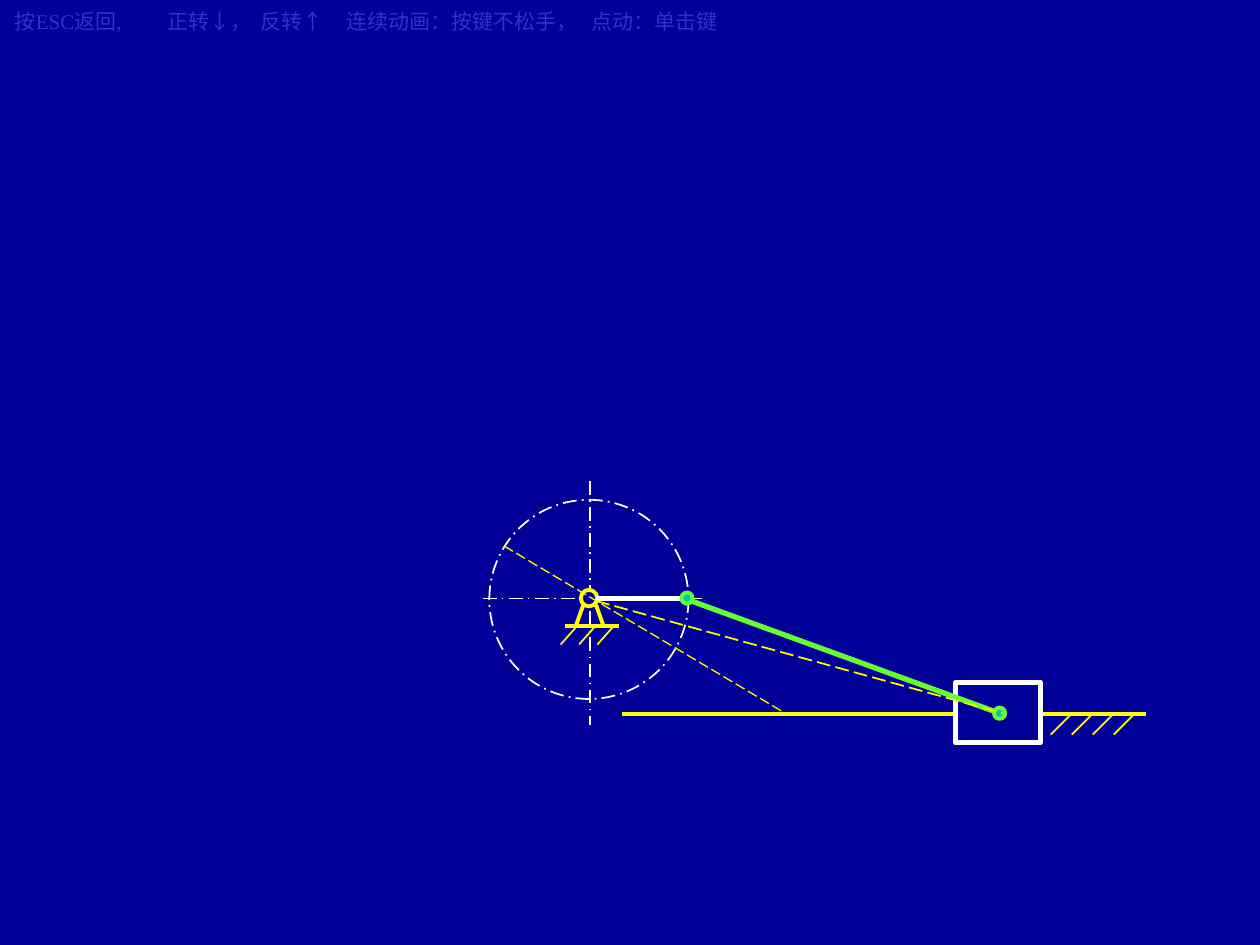
from lxml.etree import SubElement
from pptx import Presentation
from pptx.dml.color import RGBColor
from pptx.enum.dml import MSO_LINE
from pptx.enum.shapes import MSO_CONNECTOR, MSO_SHAPE
from pptx.oxml.ns import qn
from pptx.util import Pt

NAVY = RGBColor(0x00, 0x00, 0x99)
BLUE = RGBColor(0x33, 0x33, 0xCC)
WHITE = RGBColor(0xFF, 0xFF, 0xFF)
YELLOW = RGBColor(0xFF, 0xFF, 0x00)
GREEN = RGBColor(0x66, 0xFF, 0x33)
TEAL = RGBColor(0x00, 0xCC, 0x99)

# Content: key hints and the tab stops between them
HINTS = ["按ESC返回,", "正转↓，", "反转↑", "连续动画：按键不松手，", "点动：单击键"]
HINT_TABS = [87.4, 140.5, 189.7, 329.7]
HINT_FONT = {"name": "Times New Roman", "size": Pt(12)}

# Mechanism points, in points on the slide
PIVOT = (336.6, 341.8)
CRANK_PIN = (392.6, 341.8)
SLIDER_PIN = (571.2, 407.6)
GROUND_Y = 408.2
FRAME_Y = 357.8

# Line styles: colour, width, dash
CENTRE = (WHITE, 1, MSO_LINE.LONG_DASH_DOT)
FRAME = (YELLOW, 2.25, None)
HATCH = (YELLOW, 1, None)
CRANK = (WHITE, 3, None)
ROD = (GREEN, 3, None)
PIN = (GREEN, 2.25, None)
DASHED = (YELLOW, 1, MSO_LINE.LONG_DASH)
THIN_DASHED = (YELLOW, 0.75, MSO_LINE.LONG_DASH)

CENTRE_LINES = [((337, 275), (337, 414)), ((275.8, 342), (401, 342))]
PIVOT_FRAME = [
    ((322.6, FRAME_Y), (353.5, FRAME_Y)),
    ((333.4, 345.6), (329, FRAME_Y)),
    ((340.6, 345.6), (344.9, FRAME_Y)),
]
# Hatching: first top point, gap, count, slant
HATCHINGS = [
    ((329.7, FRAME_Y), 10.5, 3, (-9.3, 10.5)),
    ((612, GROUND_Y), 12, 4, (-11.6, 11.6)),
]


def style_line(line, style):
    colour, width, dash = style
    line.color.rgb = colour
    line.width = Pt(width)
    if dash is not None:
        line.dash_style = dash


def add_line(shapes, start, end, style):
    connector = shapes.add_connector(
        MSO_CONNECTOR.STRAIGHT, *(Pt(v) for v in (*start, *end)))
    SubElement(connector._element.spPr, qn("a:effectLst"))
    style_line(connector.line, style)


def add_centred(shapes, kind, centre, width, height, style, fill=None):
    x, y = centre
    shape = shapes.add_shape(
        kind, Pt(x - width / 2), Pt(y - height / 2), Pt(width), Pt(height))
    shape.shadow.inherit = False
    if fill is None:
        shape.fill.background()
    else:
        shape.fill.solid()
        shape.fill.fore_color.rgb = fill
    style_line(shape.line, style)


def add_hints(shapes):
    box = shapes.add_textbox(Pt(1.4), Pt(1.4), Pt(467.3), Pt(21.6))
    box.text_frame.word_wrap = True
    paragraph = box.text_frame.paragraphs[0]
    tab_list = SubElement(paragraph._p.get_or_add_pPr(), qn("a:tabLst"))
    for position in HINT_TABS:
        SubElement(tab_list, qn("a:tab"), pos=str(int(Pt(position))), algn="l")
    run = paragraph.add_run()
    run.text = "\t".join(HINTS)
    for key, value in HINT_FONT.items():
        setattr(run.font, key, value)
    run.font.color.rgb = BLUE


def main():
    prs = Presentation()
    prs.slide_width, prs.slide_height = Pt(720), Pt(540)
    slide = prs.slides.add_slide(prs.slide_layouts[6])
    slide.background.fill.solid()
    slide.background.fill.fore_color.rgb = NAVY
    shapes = slide.shapes
    add_hints(shapes)

    # Crank circle and its centre lines
    add_centred(shapes, MSO_SHAPE.OVAL, (336.5, 342.5), 113.8, 113.8, CENTRE)
    for start, end in CENTRE_LINES:
        add_line(shapes, start, end, CENTRE)

    # Fixed pivot, hatching and guide
    add_centred(shapes, MSO_SHAPE.OVAL, PIVOT, 9.4, 9.4, FRAME, NAVY)
    for start, end in PIVOT_FRAME:
        add_line(shapes, start, end, FRAME)
    for (x, y), gap, count, (dx, dy) in HATCHINGS:
        for i in range(count):
            top = x + i * gap
            add_line(shapes, (top, y), (top + dx, y + dy), HATCH)
    add_line(shapes, (355.5, GROUND_Y), (655, GROUND_Y), FRAME)

    # Slider, connecting rod, pins and crank
    add_centred(shapes, MSO_SHAPE.RECTANGLE, (570.2, 407.2), 48.6, 34.4, CRANK, NAVY)
    add_line(shapes, (394.4, 343.2), SLIDER_PIN, ROD)
    for pin in (SLIDER_PIN, CRANK_PIN):
        add_centred(shapes, MSO_SHAPE.OVAL, pin, 6.4, 6.4, PIN, TEAL)
    add_line(shapes, (340.6, 342), (388.8, 342), CRANK)

    # Reference positions
    add_line(shapes, (340.6, 343.4), (573, 407.6), DASHED)
    add_line(shapes, (288, 312), (448.4, 407.4), THIN_DASHED)

    prs.save("out.pptx")


if __name__ == "__main__":
    main()
